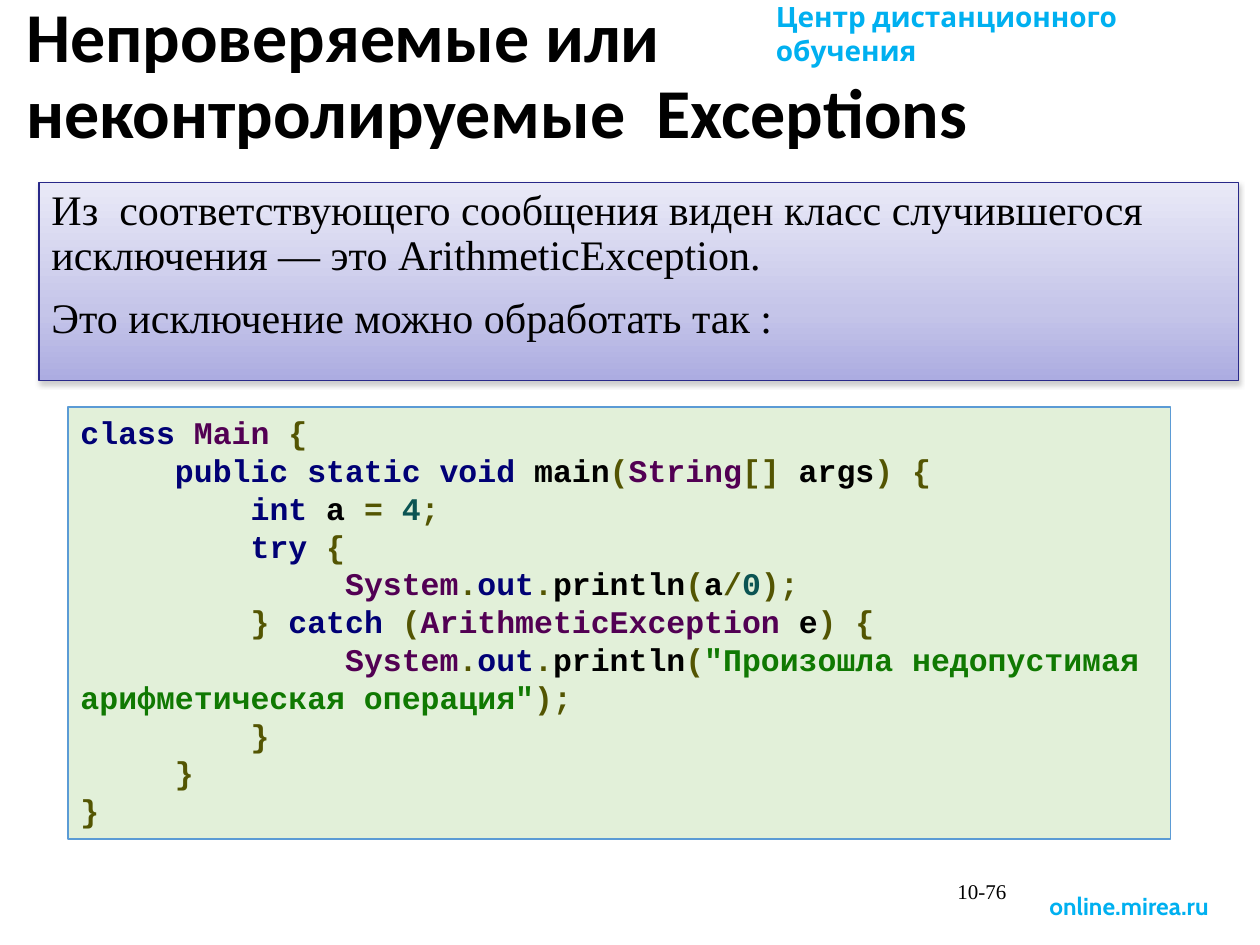
from collections import namedtuple

from lxml.etree import SubElement
from pptx import Presentation
from pptx.dml.color import RGBColor as Rgb
from pptx.enum.shapes import MSO_SHAPE as Shape
from pptx.enum.text import MSO_ANCHOR as Anchor, PP_ALIGN as Align
from pptx.oxml.ns import qn
from pptx.util import Inches, Pt

SLIDE_WIDTH, SLIDE_HEIGHT = Inches(10), Inches(7.5)
COLUMNS, ROWS = 100, 75
Box = namedtuple("Box", "column row columns rows")

COLORS = {
    "black": "000000", "brand": "00B0F0",
    "panel_line": "292989", "panel_top": "E9E9F7", "panel_middle": "C5C5E9",
    "panel_bottom": "ACACE1", "shadow": "808080",
    "code_fill": "E2F0D9", "code_line": "5B9BD5",
    "keyword": "000075", "type": "520053", "symbol": "535502",
    "number": "0B5453", "string": "107902",
}

BRAND = {"name": "Cabin", "bold": True, "color": "brand"}
HEADER = {**BRAND, "size": Pt(16)}
SITE = {**BRAND, "size": Pt(14)}
TITLE = {"name": "Calibri", "size": Pt(40), "bold": True, "color": "black"}
BODY = {"name": "Times New Roman", "size": Pt(24), "color": "black"}
NUMBER = {**BODY, "size": Pt(12)}
CODE = {"name": "Courier New", "size": Pt(18), "bold": True}

KEYWORDS = {"class", "public static void", "int", "try", "catch", "out"}
TYPES = {"Main", "String", "System", "ArithmeticException"}
NAMES = {"main", "a", "args", "println", "e", ""}

# Each line of code is split into coloured tokens at the bars.
CODE_LINES = [
    "class |Main |{",
    "     |public static void| main|(|String|[] |args|) {",
    "         |int| a |= |4|;",
    "         |try |{",
    "              |System|.|out|.|println|(|a|/|0|);",
    "         |} |catch |(|ArithmeticException| e|) {",
    "              |System|.|out|.|println|(|"
    "\"Произошла недопустимая арифметическая операция\"|);",
    "         |}",
    "     |}",
    "}",
]


def place(box):
    """Turn grid columns and rows into slide lengths."""
    return (int(SLIDE_WIDTH * box.column / COLUMNS), int(SLIDE_HEIGHT * box.row / ROWS),
            int(SLIDE_WIDTH * box.columns / COLUMNS), int(SLIDE_HEIGHT * box.rows / ROWS))


def color(name):
    return Rgb.from_string(COLORS[name])


def add_span(para, text, style):
    span = para.add_run()
    span.text = text
    for key, value in style.items():
        if key == "color":
            span.font.color.rgb = color(value)
        else:
            setattr(span.font, key, value)


def fill_frame(frame, lines, anchor=Anchor.TOP, spacing=None, gap=0):
    """Write lines, each a list of (text, style) spans, as paragraphs."""
    frame.word_wrap = True
    frame.vertical_anchor = anchor
    for index, spans in enumerate(lines):
        para = frame.add_paragraph() if index else frame.paragraphs[0]
        para.alignment = Align.LEFT
        para.line_spacing = spacing
        para.space_before = Pt(gap if index else 0)
        for text, style in spans:
            add_span(para, text, style)


def add_label(page, box, text, style, **layout):
    frame = page.shapes.add_textbox(*place(box)).text_frame
    fill_frame(frame, [[(text, style)]], **layout)


def add_panel(page, box, line_color):
    panel = page.shapes.add_shape(Shape.RECTANGLE, *place(box))
    panel.shadow.inherit = False
    panel.line.color.rgb = color(line_color)
    panel.line.width = Pt(0.75)
    return panel


def set_gradient(panel, stops):
    panel.fill.gradient()
    panel.fill.gradient_angle = 270
    stop_list = panel.fill._xPr.find(".//" + qn("a:gsLst"))
    for stop in list(stop_list):
        stop_list.remove(stop)
    for percent, name in stops:
        stop = SubElement(stop_list, qn("a:gs"), pos=str(percent * 1000))
        SubElement(stop, qn("a:srgbClr"), val=COLORS[name])


def set_shadow(panel):
    effects = panel._element.spPr.find(qn("a:effectLst"))
    shadow = SubElement(effects, qn("a:outerShdw"), blurRad=str(Pt(3.1)),
                        dist=str(Pt(1.6)), dir="5400000", rotWithShape="0")
    tint = SubElement(shadow, qn("a:srgbClr"), val=COLORS["shadow"])
    SubElement(tint, qn("a:alpha"), val="38000")


def add_explanation(page, box):
    panel = add_panel(page, box, "panel_line")
    set_gradient(panel, [(0, "panel_top"), (65, "panel_middle"), (100, "panel_bottom")])
    set_shadow(panel)
    texts = ["Из  соответствующего сообщения виден класс случившегося "
             "исключения — это ArithmeticException.",
             "Это исключение можно обработать так :"]
    fill_frame(panel.text_frame, [[(text, BODY)] for text in texts], spacing=0.9, gap=10)


def token_style(token):
    word = token.strip()
    if word.startswith('"'):
        return {**CODE, "name": "Calibri", "color": "string"}
    groups = [("keyword", word in KEYWORDS), ("type", word in TYPES),
              ("black", word in NAMES), ("number", word.isdigit())]
    return {**CODE, "color": next((kind for kind, found in groups if found), "symbol")}


def add_code(page, box):
    panel = add_panel(page, box, "code_line")
    panel.fill.solid()
    panel.fill.fore_color.rgb = color("code_fill")
    lines = [[(token, token_style(token)) for token in line.split("|")]
             for line in CODE_LINES]
    # The closing mark after the message shares the message's font.
    for spans in lines:
        for (_, before), (_, style) in zip(spans, spans[1:]):
            style["name"] = before["name"]
    fill_frame(panel.text_frame, lines)


def main():
    deck = Presentation()
    deck.slide_width, deck.slide_height = SLIDE_WIDTH, SLIDE_HEIGHT
    page = deck.slides.add_slide(deck.slide_layouts[6])
    add_label(page, Box(60.6, -0.5, 39.4, 3.7), "Центр дистанционного обучения", HEADER)
    add_label(page, Box(82.3, 70.2, 16.1, 3.4), "online.mirea.ru", SITE)
    add_label(page, Box(75, 69.2, 20.8, 4.2), "10-76", NUMBER)
    add_label(page, Box(1.1, 0, 97.2, 12.4), "Непроверяемые или неконтролируемые  Exceptions",
              TITLE, anchor=Anchor.MIDDLE, spacing=0.9)
    add_explanation(page, Box(3.1, 14.5, 95.2, 15.7))
    add_code(page, Box(5.4, 32.3, 87.5, 34.3))
    deck.save("out.pptx")


if __name__ == "__main__":
    main()
